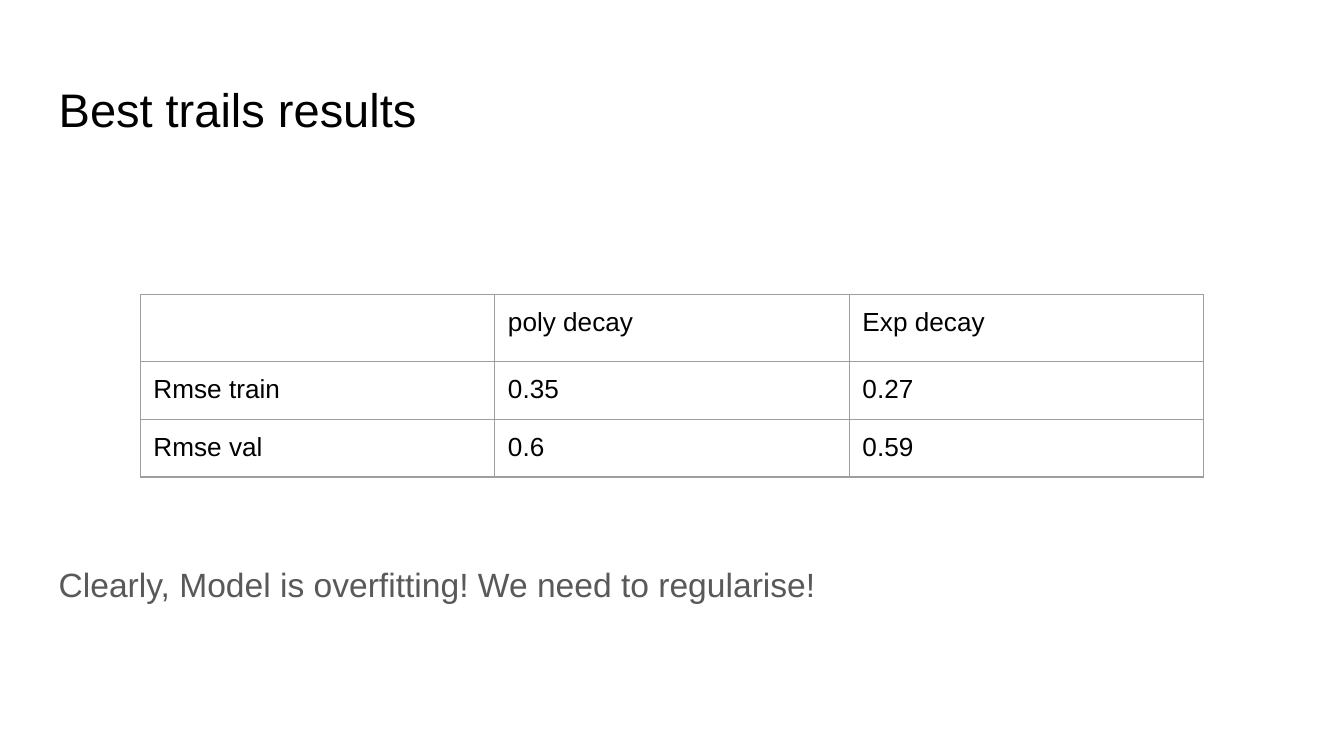
from lxml import etree
from pptx import Presentation
from pptx.dml.color import RGBColor
from pptx.enum.text import MSO_ANCHOR
from pptx.oxml.ns import qn
from pptx.util import Cm, Pt

BOTTOM = MSO_ANCHOR.BOTTOM

HEADING = "Best trails results"
RESULTS = [
    ("", "poly decay", "Exp decay"),
    ("Rmse train", "0.35", "0.27"),
    ("Rmse val", "0.6", "0.59"),
]
CONCLUSION = "Clearly, Model is overfitting! We need to regularise!"

BLACK, GREY, BORDER = "000000", "595959", "9E9E9E"
INSET = 0.25
MARGIN_LEFT, TEXT_WIDTH = 0.86, 23.67
TABLE_LEFT, TABLE_TOP, COLUMN_WIDTH = 2.65, 5.56, 6.7
ROW_HEIGHTS = (1.21, 1.06, 1.06)


def colour(hex_value):
    return RGBColor.from_string(hex_value)


def apply_format(target, values):
    for name, value in values.items():
        setattr(target, name, value)


def margins(bottom=INSET):
    sides = {"left": INSET, "top": INSET, "right": INSET, "bottom": bottom}
    return {f"margin_{side}": Cm(size) for side, size in sides.items()}


def write(frame, words, size, hex_value):
    paragraph = frame.paragraphs[0]
    run = paragraph.add_run()
    run.text = words
    apply_format(run.font, {"name": "Arial", "size": Pt(size)})
    run.font.color.rgb = colour(hex_value)
    return paragraph


def add_text(slide, words, top, height, size, hex_value, bottom=INSET):
    box = slide.shapes.add_textbox(Cm(MARGIN_LEFT), Cm(top), Cm(TEXT_WIDTH), Cm(height))
    apply_format(box.text_frame, {"word_wrap": True, "vertical_anchor": BOTTOM, **margins(bottom)})
    return write(box.text_frame, words, size, hex_value)


def add_borders(cell):
    """Draw a thin line on all four sides, ahead of the cell's fill."""
    properties = cell._tc.get_or_add_tcPr()
    for position, side in enumerate(("lnL", "lnR", "lnT", "lnB")):
        line = etree.Element(qn(f"a:{side}"), w=str(Pt(0.75)))
        fill = etree.SubElement(line, qn("a:solidFill"))
        etree.SubElement(fill, qn("a:srgbClr"), val=BORDER)
        properties.insert(position, line)


def add_results(slide):
    columns = len(RESULTS[0])
    table = slide.shapes.add_table(
        len(RESULTS), columns, Cm(TABLE_LEFT), Cm(TABLE_TOP),
        Cm(COLUMN_WIDTH * columns), Cm(sum(ROW_HEIGHTS)),
    ).table
    apply_format(table, {"first_row": False, "horz_banding": False})
    for column in table.columns:
        column.width = Cm(COLUMN_WIDTH)
    for row, height, values in zip(table.rows, ROW_HEIGHTS, RESULTS):
        row.height = Cm(height)
        for cell, value in zip(row.cells, values):
            apply_format(cell, margins())
            cell.fill.background()
            add_borders(cell)
            if value:
                write(cell.text_frame, value, 14, BLACK)


def main():
    deck = Presentation()
    apply_format(deck, {"slide_width": Cm(25.4), "slide_height": Cm(14.28)})
    slide = deck.slides.add_slide(deck.slide_layouts[6])
    add_text(slide, HEADING, 1.24, 1.6, 25.2, BLACK)
    conclusion = add_text(slide, CONCLUSION, 3.2, 9.5, 18, GREY, bottom=1.96)
    conclusion.line_spacing = 1.15
    add_results(slide)
    deck.save("out.pptx")


if __name__ == "__main__":
    main()
